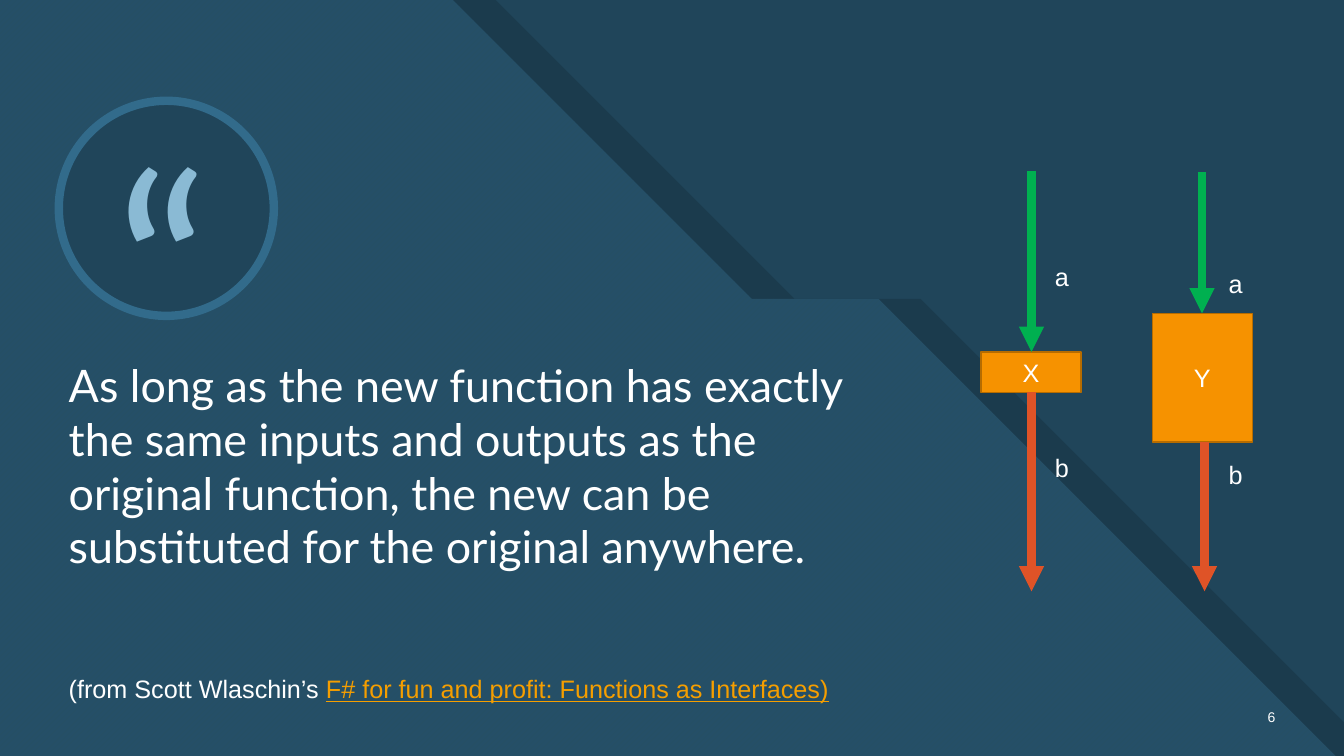
"""Builds a quotation slide with two interchangeable function diagrams."""
from dataclasses import dataclass

from lxml.etree import SubElement
from pptx import Presentation
from pptx.dml.color import RGBColor
from pptx.enum.dml import MSO_PATTERN as Pattern
from pptx.enum.shapes import MSO_CONNECTOR as Connector, MSO_SHAPE as Preset
from pptx.enum.text import MSO_ANCHOR as Anchor, PP_ALIGN as Align
from pptx.oxml.ns import qn
from pptx.util import Emu, Inches, Pt

COLUMNS, ROWS = 160, 90
WIDTH, HEIGHT = Inches(13.33), Inches(7.5)
COLORS = {
    "back": "20455A", "shade": "1B3B4D", "panel": "254F67", "stripe": "285062",
    "ring": "326B8B", "quote": "8ABAD4", "text": "FFFFFF", "link": "F59E00",
    "box": "F69200", "edge": "B66C00", "input": "00B050", "output": "DF5327",
}


@dataclass(frozen=True)
class Area:
    left: float
    top: float
    width: float
    height: float

    def place(self) -> tuple[Emu, Emu, Emu, Emu]:
        return column(self.left), row(self.top), column(self.width), row(self.height)


@dataclass(frozen=True)
class Caption:
    area: Area
    spans: tuple[tuple[str, str], ...]
    size: int = 18
    font: str = "Arial"
    align: Align = Align.LEFT
    anchor: Anchor = Anchor.MIDDLE


@dataclass(frozen=True)
class Function:
    name: str
    area: Area
    input_x: float
    input_top: float
    output_x: float
    label_left: float
    label_tops: tuple[float, float]


BACKDROP = (
    ("shade", ((0, 0), (59, 0), (94.6, 35.6), (109.6, 35.6), (160, 86), (160, 90), (0, 90))),
    ("panel", ((0, 0), (53.9, 0), (89.5, 35.6), (104.6, 35.6), (159, 90), (0, 90))),
)
RING = Area(7, 12, 25.6, 25.6)
OUTPUT_END = 70.4
FUNCTIONS = (
    Function("X", Area(116.8, 41.9, 11.9, 4.8), 122.8, 20.4, 122.8, 124.4, (30.5, 53.3)),
    Function("Y", Area(137.2, 37.3, 11.9, 15.3), 143.1, 20.5, 143.4, 145.1, (31.3, 54.1)),
)
CAPTIONS = (
    Caption(Area(12.6, 12.1, 13.2, 37.6), (("“", "quote"),), 184, "Lato",
            Align.CENTER, Anchor.TOP),
    Caption(Area(7, 42, 99.1, 37.6),
            (("As long as the new function has exactly the same inputs and outputs as the "
              "original function, the new can be substituted for the original anywhere.",
              "text"),), 32, "Lato", anchor=Anchor.TOP),
    Caption(Area(147.7, 82.9, 5.3, 4.8), (("6", "text"),), 10, align=Align.RIGHT),
    Caption(Area(7, 79.6, 93.7, 4.8),
            (("(from Scott Wlaschin’s ", "text"),
             ("F# for fun and profit: Functions as Interfaces)", "link"))),
)


def column(count: float) -> Emu:
    return Emu(round(WIDTH * count / COLUMNS))


def row(count: float) -> Emu:
    return Emu(round(HEIGHT * count / ROWS))


def color(name: str) -> RGBColor:
    return RGBColor.from_string(COLORS[name])


def paint(shape, fill: str, edge: str = "", points: float = 1) -> None:
    shape.shadow.inherit = False
    shape.fill.solid()
    shape.fill.fore_color.rgb = color(fill)
    if edge:
        shape.line.color.rgb = color(edge)
        shape.line.width = Pt(points)
    else:
        shape.line.fill.background()


def write(shape, caption: Caption) -> None:
    frame = shape.text_frame
    frame.word_wrap = True
    frame.vertical_anchor = caption.anchor
    para = frame.paragraphs[0]
    para.alignment = caption.align
    para.font.size = Pt(caption.size)
    para.font.name = caption.font
    for words, tint in caption.spans:
        span = para.add_run()
        span.text = words
        span.font.color.rgb = color(tint)
        if tint == "link":
            span.font.underline = True


def add_caption(page, caption: Caption) -> None:
    write(page.shapes.add_textbox(*caption.area.place()), caption)


def add_backdrop(page) -> None:
    page.background.fill.solid()
    page.background.fill.fore_color.rgb = color("back")
    for name, corners in BACKDROP:
        points = [(column(x), row(y)) for x, y in corners]
        builder = page.shapes.build_freeform(*points[0])
        builder.add_line_segments(points[1:], close=True)
        shape = builder.convert_to_shape()
        paint(shape, name)
        if name == "panel":
            shape.fill.patterned()
            shape.fill.pattern = Pattern.WIDE_UPWARD_DIAGONAL
            shape.fill.fore_color.rgb = color("stripe")
            shape.fill.back_color.rgb = color("panel")
    ring = page.shapes.add_shape(Preset.OVAL, *RING.place())
    paint(ring, "back", "ring", 6)


def add_arrow(page, x: float, top: float, bottom: float, tint: str) -> None:
    arrow = page.shapes.add_connector(
        Connector.STRAIGHT, column(x), row(top), column(x), row(bottom))
    arrow.line.color.rgb = color(tint)
    arrow.line.width = Pt(6)
    SubElement(arrow.line._get_or_add_ln(), qn("a:tailEnd"), type="triangle")
    SubElement(arrow._element.spPr, qn("a:effectLst"))


def add_function(page, function: Function) -> None:
    area = function.area
    box = page.shapes.add_shape(Preset.RECTANGLE, *area.place())
    paint(box, "box", "edge")
    write(box, Caption(area, ((function.name, "text"),), align=Align.CENTER))
    add_arrow(page, function.input_x, function.input_top, area.top, "input")
    add_arrow(page, function.output_x, area.top + area.height, OUTPUT_END, "output")
    for letter, top in zip("ab", function.label_tops):
        add_caption(page, Caption(Area(function.label_left, top, 4.8, 4.8),
                                  ((letter, "text"),)))


def main() -> None:
    deck = Presentation()
    deck.slide_width, deck.slide_height = WIDTH, HEIGHT
    page = deck.slides.add_slide(deck.slide_layouts[6])
    add_backdrop(page)
    for caption in CAPTIONS:
        add_caption(page, caption)
    for function in FUNCTIONS:
        add_function(page, function)
    deck.save("out.pptx")


if __name__ == "__main__":
    main()
